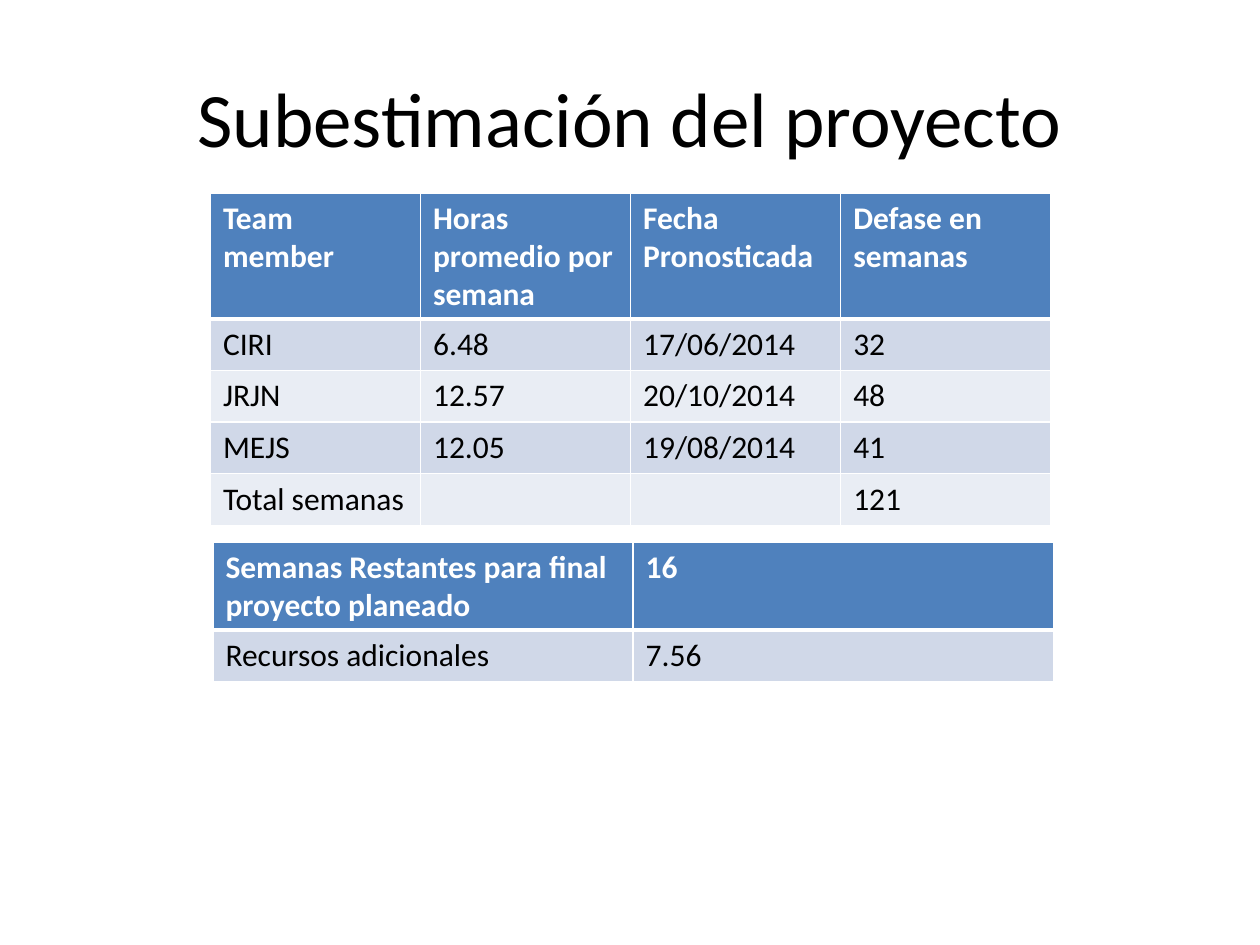
from lxml import etree
from pptx import Presentation
from pptx.dml.color import RGBColor
from pptx.enum.text import MSO_ANCHOR, PP_ALIGN
from pptx.oxml.ns import qn
from pptx.util import Inches, Pt

CENTER = PP_ALIGN.CENTER
MIDDLE = MSO_ANCHOR.MIDDLE
FONT = "Calibri"
COLORS = {
    "text": "000000",
    "white": "FFFFFF",
    "header": "4F81BD",
    "odd_row": "D0D8E8",
    "even_row": "E9EDF4",
}
TABLE_WIDTH = 6.67
ROW_HEIGHT = 0.41


def write(paragraph, text, size, color, bold=False):
    run = paragraph.add_run()
    run.text = text
    run.font.name = FONT
    run.font.size = Pt(size)
    run.font.bold = bold
    run.font.color.rgb = RGBColor.from_string(COLORS[color])


def add_borders(cell, top, bottom):
    """Draw white cell edges: 1 pt at the sides, top and bottom as given in points."""
    properties = cell._tc.get_or_add_tcPr()
    for edge, points in (("L", 1), ("R", 1), ("T", top), ("B", bottom)):
        line = etree.SubElement(properties, qn(f"a:ln{edge}"), w=str(Pt(points)))
        fill = etree.SubElement(line, qn("a:solidFill"))
        etree.SubElement(fill, qn("a:srgbClr"), val=COLORS["white"])


prs = Presentation()
prs.slide_width = Inches(10)
prs.slide_height = Inches(7.5)
slide = prs.slides.add_slide(prs.slide_layouts[6])

title = slide.shapes.add_textbox(Inches(0.5), Inches(0.3), Inches(9), Inches(1.25))
title.text_frame.word_wrap = True
title.text_frame.vertical_anchor = MIDDLE
heading = title.text_frame.paragraphs[0]
heading.alignment = CENTER
write(heading, "Subestimación del proyecto", 44, "text")

team_delay = [
    ["Team member", "Horas promedio por semana", "Fecha Pronosticada", "Defase en semanas"],
    ["CIRI", "6.48", "17/06/2014", "32"],
    ["JRJN", "12.57", "20/10/2014", "48"],
    ["MEJS", "12.05", "19/08/2014", "41"],
    ["Total semanas", "", "", "121"],
]
extra_resources = [
    ["Semanas Restantes para final proyecto planeado", "16"],
    ["Recursos adicionales", "7.56"],
]

for left, top, rows in ((1.67, 1.53, team_delay), (1.69, 4.3, extra_resources)):
    table = slide.shapes.add_table(
        len(rows), len(rows[0]), Inches(left), Inches(top),
        Inches(TABLE_WIDTH), Inches(ROW_HEIGHT * len(rows)),
    ).table
    for r, values in enumerate(rows):
        is_header = r == 0
        band = "header" if is_header else "odd_row" if r % 2 else "even_row"
        for c, value in enumerate(values):
            cell = table.cell(r, c)
            add_borders(cell, top=3 if r == 1 else 1, bottom=3 if is_header else 1)
            cell.fill.solid()
            cell.fill.fore_color.rgb = RGBColor.from_string(COLORS[band])
            if value:
                write(cell.text_frame.paragraphs[0], value, 18,
                      "white" if is_header else "text", bold=is_header)

prs.save("out.pptx")
